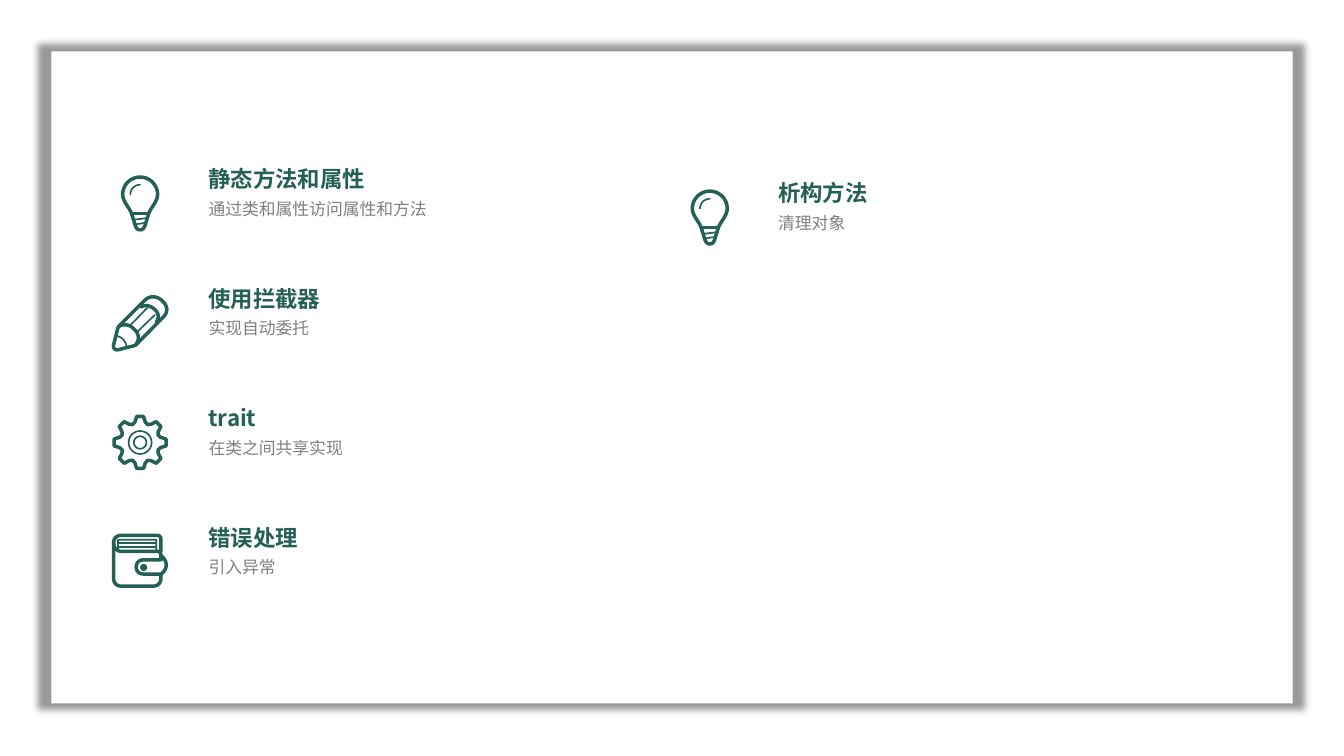
import math
from dataclasses import dataclass

from lxml import etree
from pptx import Presentation
from pptx.dml.color import RGBColor
from pptx.enum import shapes, text
from pptx.oxml import parse_xml
from pptx.oxml.ns import nsdecls, qn
from pptx.util import Inches, Pt


@dataclass(frozen=True)
class Theme:
    green: RGBColor = RGBColor(0x24, 0x60, 0x56)
    gray: RGBColor = RGBColor(0x80, 0x80, 0x80)
    white: RGBColor = RGBColor(0xFF, 0xFF, 0xFF)
    title_font: str = "Noto Sans CJK SC"
    detail_font: str = "TeX Gyre Adventor"
    title_size: float = 16
    detail_size: float = 12
    bold_stroke: float = 2.5
    fine_stroke: float = 1.2


THEME = Theme()


# Icon outlines are in hundredths of an inch from the icon's top left corner.
# A step of two numbers is a line, a step of six numbers is a cubic curve.
def flatten(steps, samples=10):
    points = [steps[0]]
    for step in steps[1:]:
        if len(step) == 2:
            points.append(step)
            continue
        ends = [points[-1], step[:2], step[2:4], step[4:]]
        for i in range(1, samples + 1):
            t = i / samples
            weights = ((1 - t) ** 3, 3 * t * (1 - t) ** 2, 3 * t * t * (1 - t), t ** 3)
            points.append(tuple(sum(w * end[axis] for w, end in zip(weights, ends))
                                for axis in (0, 1)))
    return points


def polar(center, radius, degrees):
    angle = math.radians(degrees)
    return center[0] + radius * math.cos(angle), center[1] + radius * math.sin(angle)


def arc(center, radius, start, end, samples=36):
    return [polar(center, radius, start + (end - start) * i / samples)
            for i in range(samples + 1)]


def ring(center, radius):
    points = arc(center, radius, 0, 360)
    return points[:-1] + points[:1]


def draw_strokes(icon, left, top, contours, width):
    """Draw all contours as one round-capped outline; those that end at their start are closed."""
    emu = [[(x * Inches(0.01), y * Inches(0.01)) for x, y in flatten(c)] for c in contours]
    builder = icon.shapes.build_freeform(*emu[0][0])
    for i, points in enumerate(emu):
        if i:
            builder.move_to(*points[0])
        builder.add_line_segments(points[1:], close=points[0] == points[-1])
    outline = builder.convert_to_shape(Inches(left), Inches(top))
    outline.shadow.inherit = False
    outline.fill.background()
    outline.line.color.rgb = THEME.green
    outline.line.width = Pt(width)
    ln = outline.line._get_or_add_ln()
    ln.set("cap", "rnd")
    etree.SubElement(ln, qn("a:round"))


def draw_icon(slide, left, top, bold, fine):
    icon = slide.shapes.add_group_shape()
    draw_strokes(icon, left, top, bold, THEME.bold_stroke)
    draw_strokes(icon, left, top, fine, THEME.fine_stroke)
    return icon


def draw_bulb(slide, left, top):
    head = (28, 19)
    glass = arc(head, 17.3, 180, 360)
    base = [(45.3, 26, 38.5, 32, 36.5, 38), (34, 46), (32, 54, 30, 54, 28, 54),
            (26, 54, 24, 54, 22, 46), (19.5, 38), (17.5, 32, 10.7, 26, *glass[0])]
    draw_icon(slide, left, top,
              bold=[glass + base, [(19.5, 38), (36.5, 38)]],
              fine=[arc(head, 9.7, 180, 270),
                    [(22, 44), (34, 42.5)], [(23.5, 48.5), (33, 47.2)]])


def draw_pencil(slide, left, top):
    outline = [(5.5, 34.5), (1.7, 49.5), (1, 53, 3, 55, 6, 54.5), (22, 50.5),
               (23.5, 50, 24, 49.5, 25, 48.5), (51, 22), (56, 17, 55.5, 11, 50, 6),
               (45, 1, 38, 0.5, 33, 5), (7.5, 30.5), (6, 32, 6, 33, 5.5, 34.5)]
    wood_edge = [(7.5, 31), (12, 28.5, 18, 29.5, 22, 34), (27, 38.5, 27.5, 44.5, 24, 49)]
    cap_edge = [(29, 12), (34, 9, 39.5, 11.5, 43, 15), (46, 18, 47.5, 22.5, 44, 27)]
    lead = [(5, 41), (8, 41, 14, 45, 14.5, 51.5)]
    draw_icon(slide, left, top,
              bold=[outline, wood_edge, cap_edge],
              fine=[[(19, 29.5), (35, 13)], [(25.5, 36.5), (42.5, 20)], lead])


def draw_gear(slide, left, top):
    hub = (28, 28)
    tooth = ((21, -14), (26, -7.5), (26, 7.5), (21, 14), (19.2, 22.5))
    rim = [polar(hub, radius, turn * 45 + degrees)
           for turn in range(8) for radius, degrees in tooth]
    draw_icon(slide, left, top,
              bold=[rim + rim[:1]], fine=[ring(hub, 11.4), ring(hub, 6.2)])


def draw_wallet(slide, left, top):
    body = [(48.5, 41), (48.5, 44.5), (48.5, 49, 45.5, 52, 41, 52), (9, 52),
            (4.7, 52, 1.7, 49, 1.7, 44.5), (1.7, 9), (1.7, 4.7, 4.7, 1.7, 9, 1.7),
            (45, 1.7), (47, 1.7, 48.5, 3, 48.5, 5), (48.5, 18)]
    fold = [(1.7, 9), (1.7, 14, 5, 17.5, 9, 17.5), (45, 17.5),
            (47, 17.5, 48.5, 19, 48.5, 21), (48.5, 25)]
    clasp = [(47, 26), (31, 26), (21.7, 26, 21.7, 40, 31, 40), (49, 40),
             (55.5, 35, 55.5, 27, 49, 22), (50.5, 25, 49, 26, 47, 26)]
    pages = [(6, 15), (6, 7), (6, 6, 6, 6, 7, 6), (43, 6), (44, 6, 44, 6, 44, 7), (44, 16)]
    icon = draw_icon(slide, left, top,
                     bold=[body, fold, clasp],
                     fine=[pages] + [[(6, y), (44, y)] for y in (9.5, 13)])
    button = icon.shapes.add_shape(shapes.MSO_SHAPE.OVAL, Inches(left + 0.28),
                                   Inches(top + 0.3), Inches(0.07), Inches(0.07))
    button.shadow.inherit = False
    button.fill.solid()
    button.fill.fore_color.rgb = THEME.green
    button.line.fill.background()


def add_label(group, box, words, size, font, color, bold=False, spacing=None):
    label = group.shapes.add_textbox(*map(Inches, box))
    frame = label.text_frame
    frame.word_wrap = True
    frame.auto_size = text.MSO_AUTO_SIZE.SHAPE_TO_FIT_TEXT
    paragraph = frame.paragraphs[0]
    paragraph.line_spacing = spacing
    run = paragraph.add_run()
    run.text = words
    run.font.size, run.font.name, run.font.bold = Pt(size), font, bold
    run.font.color.rgb = color
    east_asian = etree.SubElement(run._r.get_or_add_rPr(), qn("a:ea"))
    east_asian.set("typeface", THEME.title_font)


def add_topic(slide, left, top, draw, title, detail):
    draw(slide, left, top + 0.2)
    caption = slide.shapes.add_group_shape()
    add_label(caption, (left + 0.86, top + 0.38, 4.14, 0.3), detail,
              THEME.detail_size, THEME.detail_font, THEME.gray)
    add_label(caption, (left + 0.86, top, 2.45, 0.4), title,
              THEME.title_size, THEME.title_font, THEME.green, bold=True, spacing=1.2)


def add_panel(slide, left, top, width, height):
    """White card with a soft shadow slightly larger than itself."""
    panel = slide.shapes.add_shape(shapes.MSO_SHAPE.RECTANGLE,
                                   *map(Inches, (left, top, width, height)))
    panel.fill.solid()
    panel.fill.fore_color.rgb = THEME.white
    panel.line.fill.background()
    panel._element.spPr.append(parse_xml(
        f'<a:effectLst {nsdecls("a")}><a:outerShdw blurRad="{Pt(5)}" sx="102000" sy="102000" '
        'algn="ctr" rotWithShape="0"><a:srgbClr val="000000"><a:alpha val="40000"/>'
        '</a:srgbClr></a:outerShdw></a:effectLst>'))


def main():
    deck = Presentation()
    deck.slide_width, deck.slide_height = Inches(13.33), Inches(7.5)
    slide = deck.slides.add_slide(deck.slide_layouts[6])
    add_panel(slide, 0.51, 0.51, 12.31, 6.47)
    topics = [
        (draw_bulb, "静态方法和属性", "通过类和属性访问属性和方法"),
        (draw_pencil, "使用拦截器", "实现自动委托"),
        (draw_gear, "trait", "在类之间共享实现"),
        (draw_wallet, "错误处理", "引入异常"),
    ]
    for row, topic in enumerate(topics):
        add_topic(slide, 1.11, 1.54 + row * 1.185, *topic)
    add_topic(slide, 6.76, 1.68, draw_bulb, "析构方法", "清理对象")
    deck.save("out.pptx")


if __name__ == "__main__":
    main()
